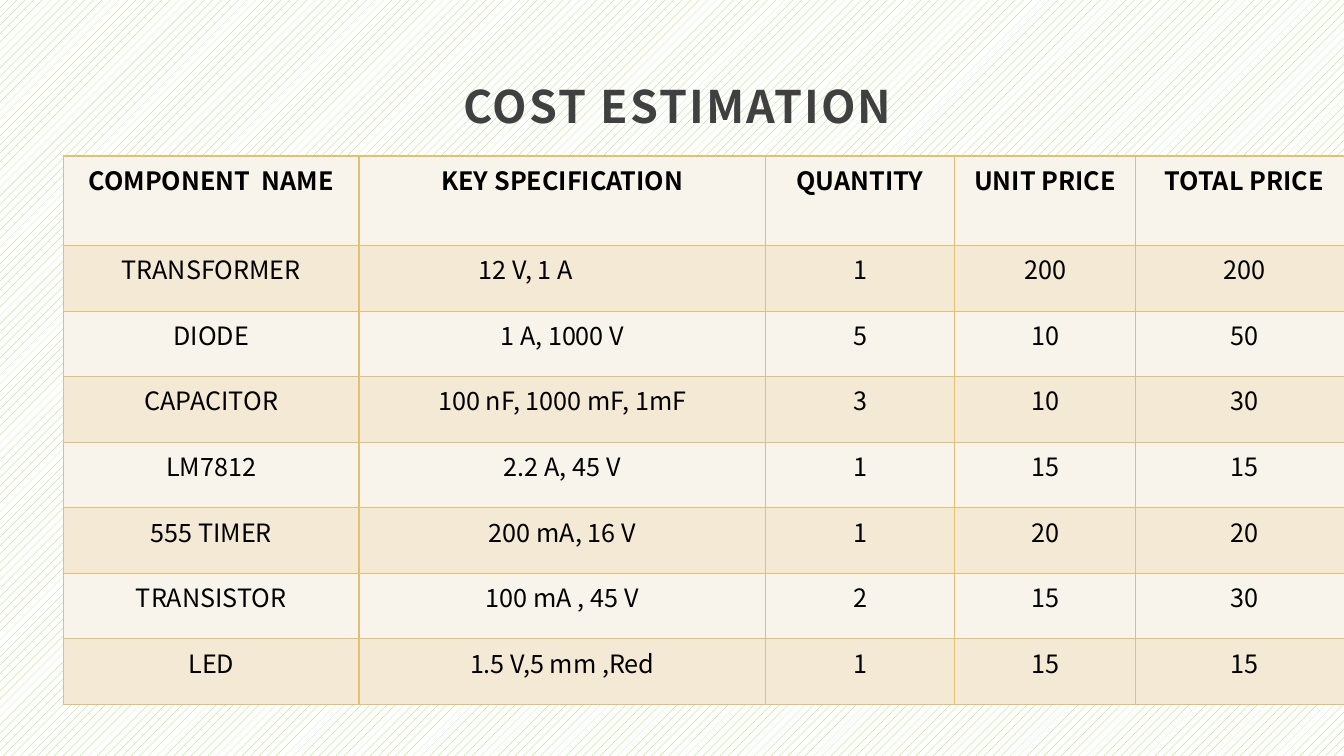
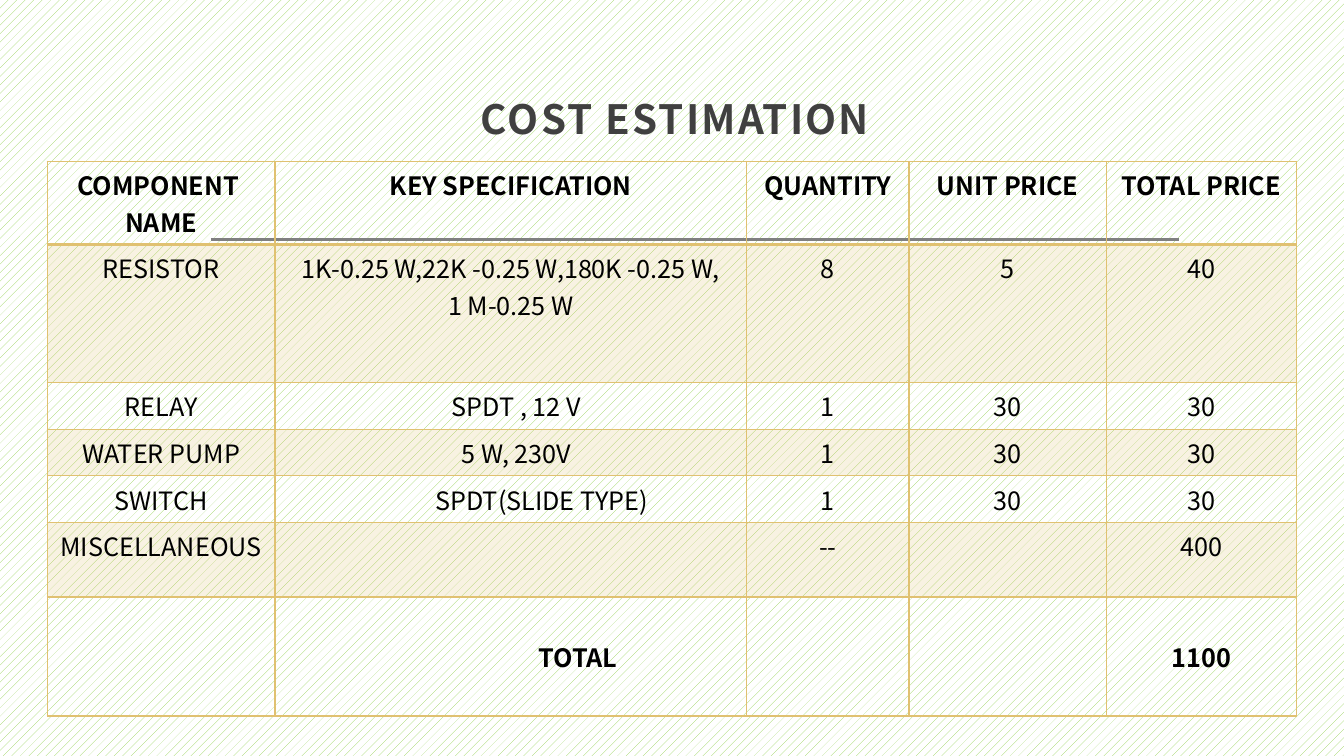
from dataclasses import dataclass

import pptx
import pptx.dml.color
import pptx.enum.dml
import pptx.enum.shapes
import pptx.enum.text
import pptx.oxml
import pptx.oxml.ns
import pptx.shapes.shapetree
import pptx.util

Pt = pptx.util.Pt
qn = pptx.oxml.ns.qn
ANCHOR = pptx.enum.text.MSO_ANCHOR


# Theme: colours, font and type sizes
@dataclass(frozen=True)
class Theme:
    font: str = "Noto Sans CJK JP"
    title_color: str = "404040"
    text_color: str = "000000"
    rule_color: str = "808080"
    border_color: str = "E0C171"
    light_band: str = "F9F4EB"
    dark_band: str = "F3E9D5"
    pattern_color: str = "92D050"
    paper: str = "FFFFFF"
    body_size: float = 18
    title_size: float = 32
    small_title_size: float = 28.8


THEME = Theme()
TITLE_ONLY = 5


def rgb(value):
    return pptx.dml.color.RGBColor.from_string(value)


def write(text_frame, text, size=THEME.body_size, color=THEME.text_color,
          bold=False, line_spacing=None, tracking=None):
    """Fill a text frame with centred paragraphs, one for each line."""
    text_frame.word_wrap = True
    for number, line in enumerate(text.split("\n")):
        paragraph = text_frame.paragraphs[0] if number == 0 else text_frame.add_paragraph()
        paragraph.alignment = pptx.enum.text.PP_ALIGN.CENTER
        paragraph.line_spacing = line_spacing
        run = paragraph.add_run()
        run.text = line
        run.font.name = THEME.font
        run.font.size = Pt(size)
        run.font.bold = bold
        run.font.color.rgb = rgb(color)
        if tracking:
            run.font._element.set("spc", str(round(tracking * 100)))


def set_borders(cell, bottom_width):
    """Line all four sides of a cell; borders precede the fill in the XML."""
    properties = cell._tc.get_or_add_tcPr()
    widths = {"lnL": 1, "lnR": 1, "lnT": 1, "lnB": bottom_width}
    for position, (side, width) in enumerate(widths.items()):
        properties.insert(position, pptx.oxml.parse_xml(
            f'<a:{side} {pptx.oxml.ns.nsdecls("a")} w="{Pt(width)}"><a:solidFill>'
            f'<a:srgbClr val="{THEME.border_color}"/></a:solidFill></a:{side}>'))


def fill_cell(cell, color, opacity):
    if color is None:
        cell.fill.background()
        return
    cell.fill.solid()
    cell.fill.fore_color.rgb = rgb(color)
    if opacity < 100:
        color_element = cell._tc.tcPr.find(".//" + qn("a:srgbClr"))
        alpha = color_element.makeelement(qn("a:alpha"), {"val": str(opacity * 1000)})
        color_element.append(alpha)


class Deck:
    def __init__(self):
        self.presentation = pptx.Presentation()
        self.presentation.slide_width = Pt(960)
        self.presentation.slide_height = Pt(540)
        self.layout = self.presentation.slide_layouts[TITLE_ONLY]
        self.slide = None
        self.style_layout()

    def style_layout(self):
        # Shared patterned background
        fill = self.layout.background.fill
        fill.patterned()
        fill.pattern = pptx.enum.dml.MSO_PATTERN.PERCENT_20
        fill.fore_color.rgb = rgb(THEME.pattern_color)
        fill.back_color.rgb = rgb(THEME.paper)
        # Shared grey rule
        shapes = pptx.shapes.shapetree.SlideShapes(self.layout.shapes.element, self.layout)
        rule = shapes.add_connector(pptx.enum.shapes.MSO_CONNECTOR.STRAIGHT,
                                    Pt(151), Pt(171), Pt(842), Pt(171))
        rule.line.color.rgb = rgb(THEME.rule_color)
        rule.line.width = Pt(2)
        properties = rule.element.spPr
        properties.append(properties.makeelement(qn("a:effectLst"), {}))

    def add_slide(self):
        self.slide = self.presentation.slides.add_slide(self.layout)

    def add_title(self, text, left, top, width, height, size, bottom_margin):
        title = self.slide.shapes.title
        title.left, title.top = Pt(left), Pt(top)
        title.width, title.height = Pt(width), Pt(height)
        frame = title.text_frame
        frame.auto_size = pptx.enum.text.MSO_AUTO_SIZE.NONE
        frame.vertical_anchor = ANCHOR.BOTTOM
        frame.margin_left = frame.margin_right = frame.margin_top = Pt(8.64)
        frame.margin_bottom = Pt(bottom_margin)
        write(frame, text, size=size, color=THEME.title_color, bold=True,
              line_spacing=1.3, tracking=1.5)

    def add_table(self, rows, left, top, widths, heights, bands, opacity=100,
                  header_line=1, indents=None, total_row=False):
        """Draw a banded table; indents maps (row, column) to (left, right) shifts."""
        indents = indents or {}
        table = self.slide.shapes.add_table(
            len(rows), len(widths), Pt(left), Pt(top),
            Pt(sum(widths)), Pt(sum(heights))).table
        table.first_row = table.horz_banding = False
        for column, width in zip(table.columns, widths):
            column.width = Pt(width)
        for row_number, (values, height) in enumerate(zip(rows, heights)):
            table.rows[row_number].height = Pt(height)
            is_total = total_row and row_number == len(rows) - 1
            for column_number, text in enumerate(values):
                cell = table.cell(row_number, column_number)
                fill_cell(cell, bands[row_number % 2], opacity)
                set_borders(cell, header_line if row_number == 0 else 1)
                cell.vertical_anchor = ANCHOR.MIDDLE if is_total else ANCHOR.TOP
                left_shift, right_shift = indents.get((row_number, column_number), (0, 0))
                cell.margin_left = Pt(7.2 + left_shift)
                cell.margin_right = Pt(7.2 + right_shift)
                if text:
                    write(cell.text_frame, text, bold=row_number == 0 or is_total)


TITLE = "COST ESTIMATION"
HEADER = ("COMPONENT  NAME", "KEY SPECIFICATION", "QUANTITY", "UNIT PRICE", "TOTAL PRICE")
ELECTRONICS = [
    HEADER,
    ("TRANSFORMER", "12 V, 1 A", "1", "200", "200"),
    ("DIODE", "1 A, 1000 V", "5", "10", "50"),
    ("CAPACITOR", "100 nF, 1000 mF, 1mF", "3", "10", "30"),
    ("LM7812", "2.2 A, 45 V", "1", "15", "15"),
    ("555 TIMER", "200 mA, 16 V", "1", "20", "20"),
    ("TRANSISTOR", "100 mA , 45 V", "2", "15", "30"),
    ("LED", "1.5 V,5 mm ,Red", "1", "15", "15"),
]
REMAINDER = [
    HEADER,
    ("RESISTOR", "1K-0.25 W,22K -0.25 W,180K -0.25 W,\n1 M-0.25 W", "8", "5", "40"),
    ("RELAY", "SPDT , 12 V", "1", "30", "30"),
    ("WATER PUMP", "5 W, 230V", "1", "30", "30"),
    ("SWITCH", "SPDT(SLIDE TYPE)", "1", "30", "30"),
    ("MISCELLANEOUS", "", "--", "", "400"),
    ("", "TOTAL", "", "", "1100"),
]


def main():
    deck = Deck()

    # Slide 1: electronic components
    deck.add_slide()
    deck.add_title(TITLE, 45, 18, 878, 120, THEME.title_size, bottom_margin=43)
    deck.add_table(ELECTRONICS, 45.4, 111.5,
                   widths=[211, 290.5, 134.8, 129.6, 154.8],
                   heights=[64] + [46.8] * 7,
                   bands=(THEME.light_band, THEME.dark_band),
                   indents={(1, 1): (0, 52)})

    # Slide 2: remaining parts and total
    deck.add_slide()
    deck.add_title(TITLE, 38, 34.5, 888.5, 106, THEME.small_title_size, bottom_margin=38.5)
    deck.add_table(REMAINDER, 33.8, 115.4,
                   widths=[162.6, 337, 115.9, 141, 135.6],
                   heights=[59.3, 98.6] + [33.3] * 3 + [53.3, 85],
                   bands=(None, THEME.border_color), opacity=20, header_line=2,
                   indents={(2, 1): (8, 0), (3, 1): (8, 0), (4, 1): (44, 0), (6, 1): (96, 0)},
                   total_row=True)

    deck.presentation.save("out.pptx")


if __name__ == "__main__":
    main()
